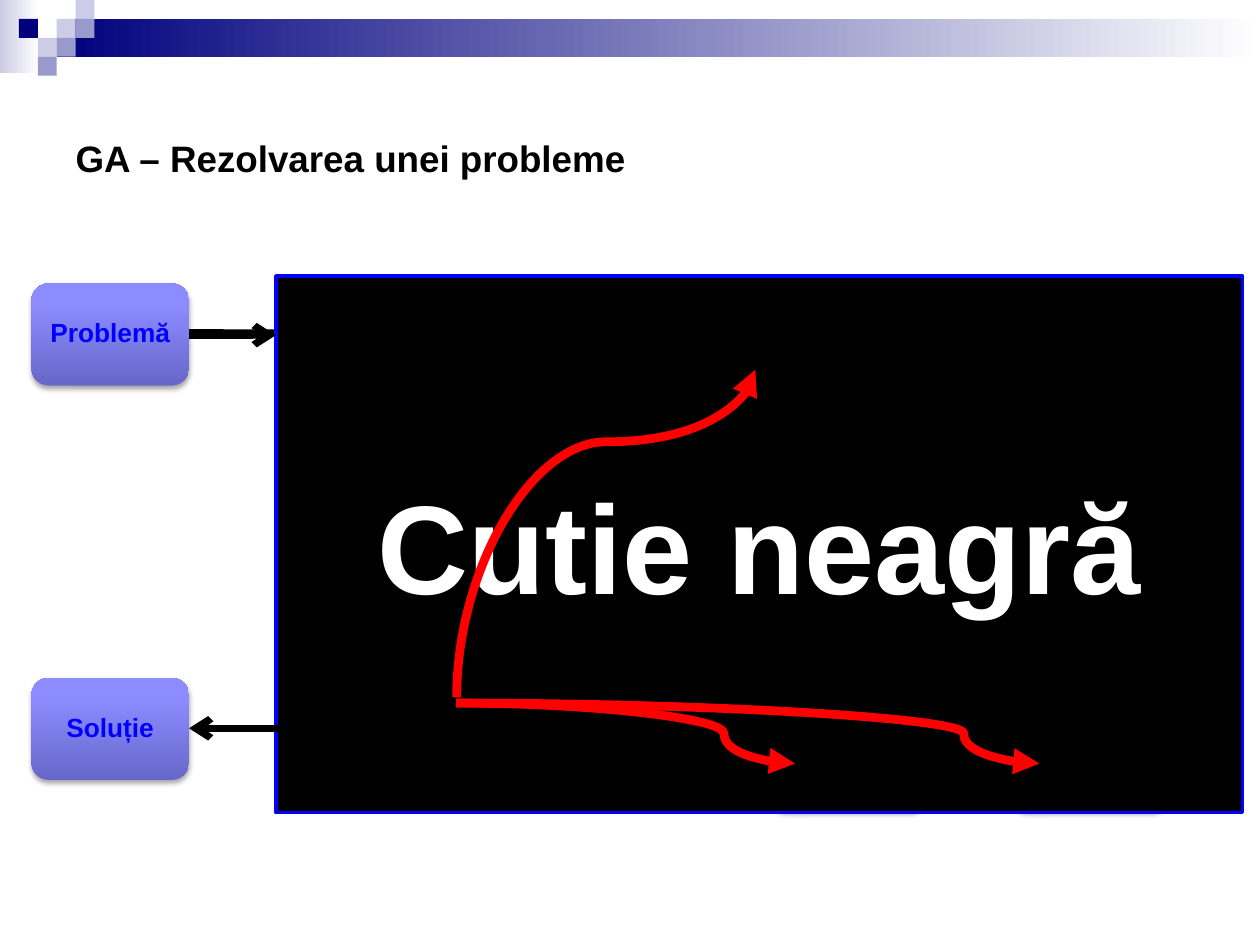
from dataclasses import dataclass

from lxml import etree
from pptx import Presentation
from pptx.dml.color import RGBColor
from pptx.enum.shapes import MSO_CONNECTOR, MSO_SHAPE
from pptx.enum.text import MSO_ANCHOR, PP_ALIGN
from pptx.oxml.ns import qn
from pptx.util import Inches, Pt

RECT, ROUND = MSO_SHAPE.RECTANGLE, MSO_SHAPE.ROUNDED_RECTANGLE
PROCESS = MSO_SHAPE.FLOWCHART_PROCESS
STRAIGHT, CURVE = MSO_CONNECTOR.STRAIGHT, MSO_CONNECTOR.CURVE
LEFT, CENTER = PP_ALIGN.LEFT, PP_ALIGN.CENTER
MIDDLE = MSO_ANCHOR.MIDDLE


@dataclass(frozen=True)
class Theme:
    font: str = "Arial"
    black: str = "000000"
    white: str = "FFFFFF"
    blue: str = "0000FF"
    red: str = "FF0000"
    navy: str = "00007D"
    pale: str = "CCCCE6"
    mid: str = "9999CC"
    box_stops: tuple = ((0, "6767CA"), (80, "8C8CFF"), (100, "8E8EFF"))
    title_size: int = 21
    label_size: int = 15
    panel_size: int = 72


def add_xml(parent, tag, **attributes):
    names = {key: str(value) for key, value in attributes.items()}
    return etree.SubElement(parent, qn(tag), names)


class SlideBuilder:
    def __init__(self, slide, theme):
        self.s = slide
        self.theme = theme

    def add_text(self, tf, text, size, color, align=CENTER):
        tf.word_wrap = True
        tf.vertical_anchor = MIDDLE
        p = tf.paragraphs[0]
        p.alignment = align
        r = p.add_run()
        r.text = text
        r.font.name = self.theme.font
        r.font.size = Pt(size)
        r.font.bold = True
        r.font.color.rgb = RGBColor.from_string(color)
        return p

    def title(self, text):
        sp = self.s.shapes.title
        sp.left, sp.top = Inches(0.5), Inches(0.5)
        sp.width, sp.height = Inches(9), Inches(1.5)
        self.add_text(sp.text_frame, text, self.theme.title_size, self.theme.black, LEFT)

    def shape(self, kind, x, y, w, h, fill=None):
        sp = self.s.shapes.add_shape(kind, Inches(x), Inches(y), Inches(w), Inches(h))
        sp.shadow.inherit = False
        sp.line.fill.background()
        if fill:
            sp.fill.solid()
            sp.fill.fore_color.rgb = RGBColor.from_string(fill)
        return sp

    def gradient(self, sp, stops, angle=0):
        sp.fill.gradient()
        sp.fill.gradient_angle = angle
        gs_list = sp._element.spPr.find(qn("a:gradFill")).find(qn("a:gsLst"))
        for old in list(gs_list):
            gs_list.remove(old)
        for position, color in stops:
            gs = add_xml(gs_list, "a:gs", pos=position * 1000)
            add_xml(gs, "a:srgbClr", val=color)

    def box(self, x, y, text=None):
        sp = self.shape(ROUND, x, y, 1.25, 0.81)
        self.gradient(sp, self.theme.box_stops, 90)
        effects = sp._element.spPr.find(qn("a:effectLst"))
        shadow = add_xml(effects, "a:outerShdw", blurRad=Pt(3.1), dist=Pt(1.8),
                         dir=5400000, rotWithShape=0)
        color = add_xml(shadow, "a:srgbClr", val=self.theme.black)
        add_xml(color, "a:alpha", val=35000)
        if text:
            self.label(x + 0.04, y + 0.04, text)

    def label(self, x, y, text):
        tb = self.s.shapes.add_textbox(Inches(x), Inches(y), Inches(1.17), Inches(0.73))
        tf = tb.text_frame
        tf.margin_left = tf.margin_right = Inches(0.04)
        tf.margin_top = tf.margin_bottom = Inches(0.04)
        p = self.add_text(tf, text, self.theme.label_size, self.theme.blue)
        p.line_spacing = 0.9

    def panel(self, x, y, w, h, text):
        sp = self.shape(PROCESS, x, y, w, h, self.theme.black)
        sp.line.color.rgb = RGBColor.from_string(self.theme.blue)
        sp.line.width = Pt(2)
        self.add_text(sp.text_frame, text, self.theme.panel_size, self.theme.white)

    def arrow(self, start, end, color, width, head="arrow", kind=STRAIGHT):
        c = self.s.shapes.add_connector(kind, *map(Inches, start + end))
        c.line.color.rgb = RGBColor.from_string(color)
        c.line.width = Pt(width)
        spPr = c._element.spPr
        add_xml(spPr.find(qn("a:ln")), "a:tailEnd", type=head)
        add_xml(spPr, "a:effectLst")
        return c

    def curved_arrow(self, start, end, bend, rotation=0):
        c = self.arrow(start, end, self.theme.red, 5, "triangle", CURVE)
        spPr = c._element.spPr
        geometry = spPr.find(qn("a:prstGeom"))
        guides = geometry.find(qn("a:avLst"))
        if guides is None:
            guides = add_xml(geometry, "a:avLst")
        add_xml(guides, "a:gd", name="adj1", fmla=f"val {round(bend * 100000)}")
        if rotation:
            spPr.find(qn("a:xfrm")).set("rot", str(rotation * 60000))


def main():
    prs = Presentation()
    prs.slide_width, prs.slide_height = Inches(10), Inches(7.5)
    theme = Theme()
    b = SlideBuilder(prs.slides.add_slide(prs.slide_layouts[5]), theme)

    # Header bands and mosaic
    for x, y, w, h, color in ((0, 0, 0.31, 0.58, theme.pale),
                              (0.45, 0.15, 9.55, 0.3, theme.navy)):
        b.gradient(b.shape(RECT, x, y, w, h), ((0, color), (100, theme.white)))
    tile = 0.15
    for column, row, color in ((3, 1, theme.pale), (4, 0, theme.pale),
                               (4, 1, theme.mid), (2, 2, theme.pale),
                               (1, 1, theme.navy), (3, 2, theme.mid),
                               (2, 3, theme.mid)):
        b.shape(RECT, column * tile, row * tile, tile, tile, color)

    b.title("GA – Rezolvarea unei probleme")

    # Boxes and input line partly behind the panel
    for x in (6.11, 8.02):
        b.box(x, 5.63)
    b.arrow((1.5, 2.64), (4.05, 2.65), theme.black, 4)

    # Black box
    b.panel(2.19, 2.19, 7.67, 4.26, "Cutie neagră")

    # Input and output
    b.arrow((2.49, 5.78), (1.5, 5.78), theme.black, 4)
    b.box(0.25, 5.38, "Soluție")
    b.box(0.25, 2.25, "Problemă")
    b.arrow((1.5, 2.66), (2.19, 2.66), theme.black, 4)

    # Red feedback curves
    b.curved_arrow((6.11, 5.42), (3.51, 3.05), 0.78, rotation=90)
    for x, bend in ((6.31, 0.79), (8.25, 0.87)):
        b.curved_arrow((3.62, 5.58), (x, 6.06), bend)

    prs.save("out.pptx")


if __name__ == "__main__":
    main()
